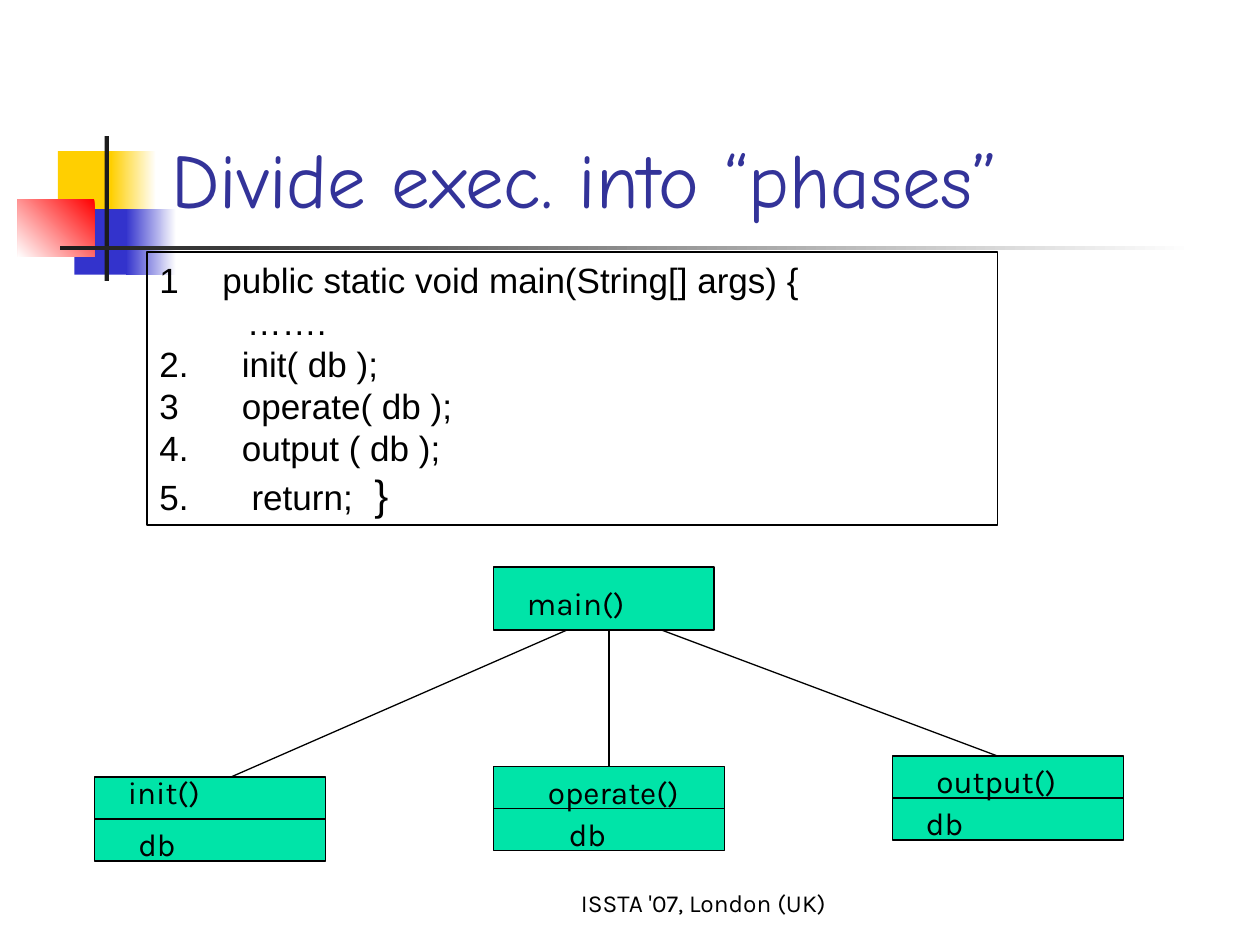
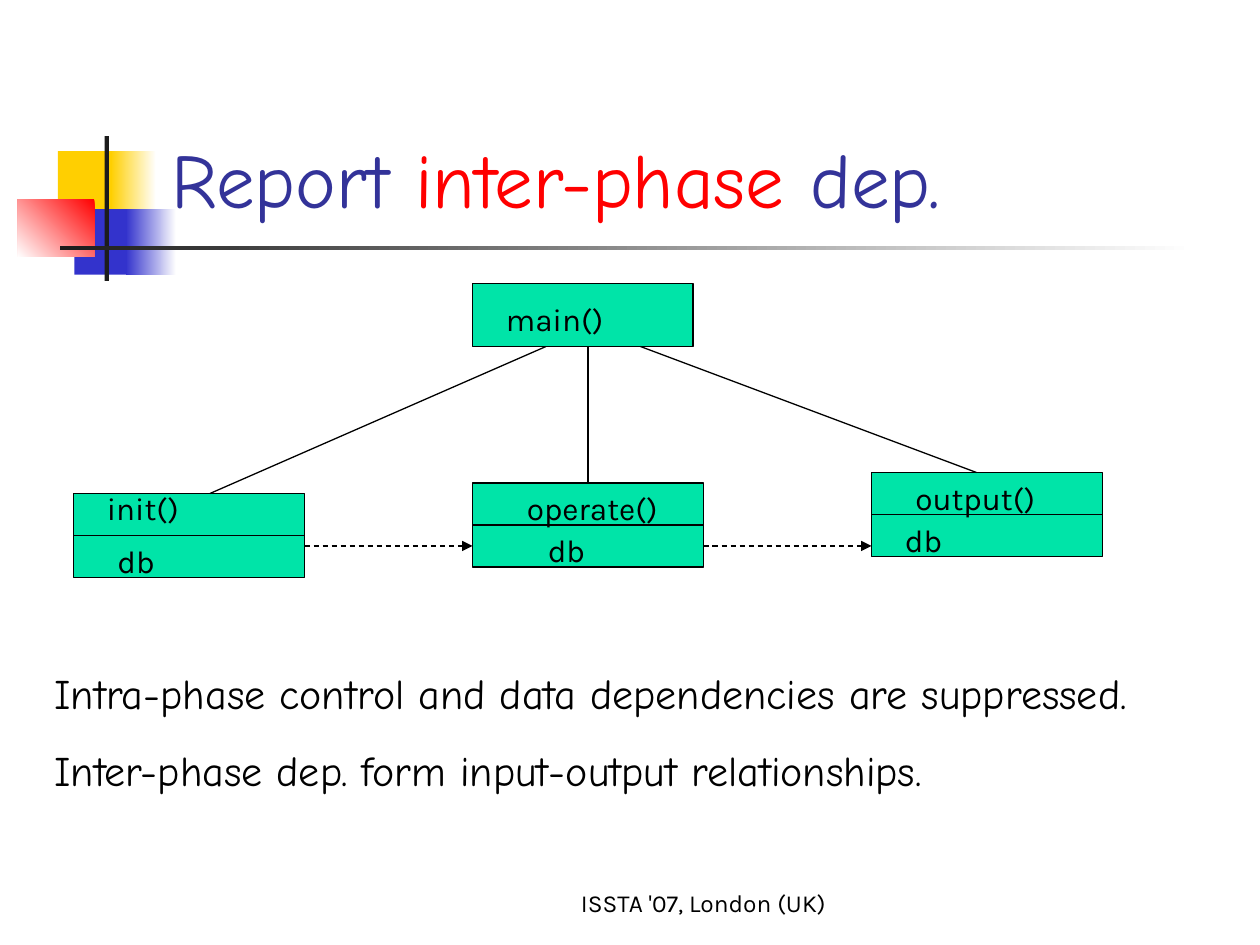
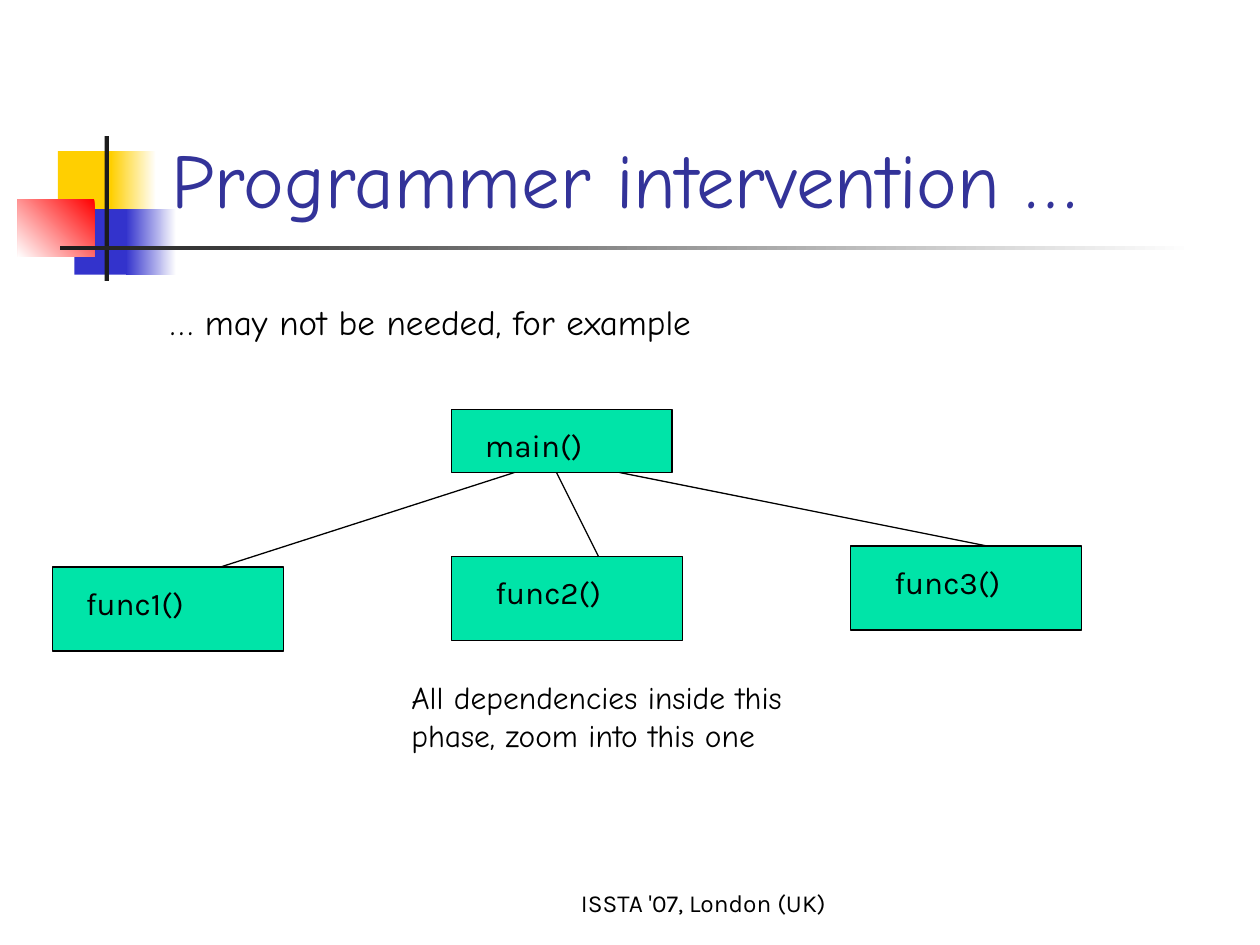
"""Build three slides on execution phases and their dependencies."""
from dataclasses import dataclass

from lxml import etree
from pptx import Presentation
from pptx.dml.color import RGBColor
from pptx.enum.dml import MSO_LINE
from pptx.enum.shapes import MSO_CONNECTOR, MSO_SHAPE
from pptx.enum.text import MSO_ANCHOR, MSO_AUTO_SIZE, PP_ALIGN
from pptx.oxml.ns import qn
from pptx.util import Inches, Pt

RECTANGLE = MSO_SHAPE.RECTANGLE
STRAIGHT = MSO_CONNECTOR.STRAIGHT
DASH = MSO_LINE.DASH
TOP, BOTTOM = MSO_ANCHOR.TOP, MSO_ANCHOR.BOTTOM
LEFT, CENTER = PP_ALIGN.LEFT, PP_ALIGN.CENTER
NO_AUTOFIT = MSO_AUTO_SIZE.NONE
TOP_SIDE, LEFT_SIDE, RIGHT_SIDE = 0, 1, 3
TITLE_ONLY = 5
COLUMNS, ROWS = 120, 90
BOX_WIDTH, BOX_HEIGHT = 22, 8
MAIN_WIDTH, MAIN_HEIGHT = 21, 6
PHASE_STEP = 38


@dataclass(frozen=True)
class Theme:
    """Colours, fonts and type sizes of the deck."""
    ink: str = "000000"
    title: str = "333399"
    accent: str = "FF0000"
    box: str = "00E4A8"
    yellow: str = "FFCF01"
    blue: str = "3333CC"
    bar: str = "1C1C1C"
    white: str = "FFFFFF"
    hand: str = "Comic Neue"
    sans: str = "Karla"
    code: str = "Arial"
    title_size: int = 44
    large: int = 24
    medium: int = 20
    label: int = 18
    footer: int = 14
    rule: float = 0.75


THEME = Theme()


def write(frame, paragraphs, *, font, size, color=THEME.ink, align=LEFT,
          anchor=TOP, gap=0):
    """Fill a frame; a paragraph is a string or a list of (text, overrides)."""
    frame.word_wrap = True
    frame.auto_size = NO_AUTOFIT
    frame.vertical_anchor = anchor
    for index, content in enumerate(paragraphs):
        paragraph = frame.add_paragraph() if index else frame.paragraphs[0]
        paragraph.alignment = align
        if index and gap:
            paragraph.space_before = Pt(gap)
        pieces = [(content, {})] if isinstance(content, str) else content
        for text, changes in pieces:
            run = paragraph.add_run()
            run.text = text
            run.font.name = font
            run.font.size = Pt(changes.get("size", size))
            run.font.color.rgb = RGBColor.from_string(changes.get("color", color))


def number(paragraph, scheme=None, start=1):
    """Give a paragraph a hanging indent and, if asked, an automatic number."""
    properties = paragraph._p.get_or_add_pPr()
    properties.set("marL", str(Inches(0.5)))
    properties.set("indent", str(-Inches(0.5)))
    if scheme:
        etree.SubElement(properties, qn("a:buAutoNum"), type=scheme, startAt=str(start))


class Deck:
    """Hold the style and the current slide, and draw on a grid."""

    def __init__(self, theme):
        """Start an empty presentation."""
        self.theme = theme
        self.presentation = Presentation()
        self.presentation.slide_width = Inches(10)
        self.presentation.slide_height = Inches(7.5)
        self.slide = None

    def x(self, columns):
        """Turn columns into a length."""
        return round(self.presentation.slide_width * columns / COLUMNS)

    def y(self, rows):
        """Turn rows into a length."""
        return round(self.presentation.slide_height * rows / ROWS)

    def area(self, column, row, width, height):
        """Turn a grid area into left, top, width and height."""
        return self.x(column), self.y(row), self.x(width), self.y(height)

    def start(self, title):
        """Add a slide with its ornament, title and footer."""
        theme = self.theme
        layout = self.presentation.slide_layouts[TITLE_ONLY]
        self.slide = self.presentation.slides.add_slide(layout)
        self.ornament()
        heading = self.slide.shapes.title
        self.slide.shapes.element.append(heading.element)
        heading.left, heading.top, heading.width, heading.height = self.area(
            15.12, 2.76, 102.24, 19.2)
        write(heading.text_frame, [title], font=theme.hand, size=theme.title_size,
              color=theme.title, anchor=BOTTOM)
        self.text(48, 82, 38, ["ISSTA '07, London (UK)"], height=6, font=theme.sans,
                  size=theme.footer, align=CENTER, anchor=BOTTOM)

    def ornament(self):
        """Draw the coloured squares and the two bars beside the title."""
        theme = self.theme
        self.block((5.52, 14.4, 5.76, 6.24), theme.yellow)
        self.fade((10.56, 14.4, 4.32, 6.24), theme.white, theme.yellow)
        self.block((7.08, 19.92, 5.52, 6.24), theme.blue)
        self.fade((12, 19.92, 4.8, 6.24), theme.white, theme.blue)
        self.fade((1.68, 18.96, 7.32, 5.52), theme.accent, theme.white, angle=225)
        self.block((9.96, 12.96, 0.42, 13.8), theme.bar)
        self.fade((5.76, 23.4, 108, 0.4), theme.white, theme.bar)

    def block(self, place, fill=None, outlined=False):
        """Draw a rectangle with an optional fill and outline."""
        rectangle = self.slide.shapes.add_shape(RECTANGLE, *self.area(*place))
        rectangle.shadow.inherit = False
        if fill:
            rectangle.fill.solid()
            rectangle.fill.fore_color.rgb = RGBColor.from_string(fill)
        else:
            rectangle.fill.background()
        if outlined:
            rectangle.line.color.rgb = RGBColor.from_string(self.theme.ink)
            rectangle.line.width = Pt(self.theme.rule)
        else:
            rectangle.line.fill.background()
        return rectangle

    def fade(self, place, first, last, angle=180):
        """Draw a rectangle that fades from one colour to another."""
        rectangle = self.block(place)
        rectangle.fill.gradient()
        rectangle.fill.gradient_angle = angle
        for stop, color in zip(rectangle.fill.gradient_stops, (first, last)):
            stop.color.rgb = RGBColor.from_string(color)

    def text(self, column, row, width, paragraphs, height=4.8, **style):
        """Place a text box."""
        box = self.slide.shapes.add_textbox(*self.area(column, row, width, height))
        write(box.text_frame, paragraphs, **style)

    def label(self, column, row, width, name):
        """Write a name on a box of the call tree."""
        self.text(column, row, width, [name], font=self.theme.sans,
                  size=self.theme.label)

    def link(self, begin, end, arrow=False):
        """Draw a line between two grid points, dashed if it is an arrow."""
        line = self.slide.shapes.add_connector(
            STRAIGHT, self.x(begin[0]), self.y(begin[1]), self.x(end[0]), self.y(end[1]))
        line.line.color.rgb = RGBColor.from_string(self.theme.ink)
        line.line.width = Pt(self.theme.rule)
        properties = line.element.spPr
        if arrow:
            line.line.dash_style = DASH
            etree.SubElement(properties.find(qn("a:ln")), qn("a:tailEnd"), type="triangle")
        etree.SubElement(properties, qn("a:effectLst"))
        return line

    def call_tree(self, column, row, phases, drop, starts, ends):
        """Draw main() and the phases it calls, each one row above the last."""
        self.block((column, row, MAIN_WIDTH, MAIN_HEIGHT), self.theme.box, outlined=True)
        self.label(column + 2, row + 1, 17, "main()")
        for index, (labels, start, end) in enumerate(zip(phases, starts, ends)):
            left = column + PHASE_STEP * (index - 1)
            top = row + drop - index
            phase = self.block((left, top, BOX_WIDTH, BOX_HEIGHT), self.theme.box,
                               outlined=True)
            if len(labels) > 1:
                middle = top + BOX_HEIGHT / 2
                divider = self.link((left, middle), (left + BOX_WIDTH, middle))
                divider.begin_connect(phase, LEFT_SIDE)
                divider.end_connect(phase, RIGHT_SIDE)
            for name, across, down, width in labels:
                self.label(left + across, top + down, width, name)
            call = self.link((column + start, row + MAIN_HEIGHT), (left + end, top))
            if end == BOX_WIDTH / 2:
                call.end_connect(phase, TOP_SIDE)

    def listing(self, place, lines):
        """Show code lines, each with its numbering, in an outlined box."""
        frame = self.block(place, outlined=True).text_frame
        write(frame, [content for content, _ in lines], font=self.theme.code,
              size=self.theme.medium)
        for paragraph, (_, numbering) in zip(frame.paragraphs, lines):
            number(paragraph, *numbering)


DB_PHASES = [
    [("init()", 2, -1, 18), ("db", 3, 4, 13)],
    [("operate()", 4, 0, 17), ("db", 6, 4, 13)],
    [("output()", 3, 0, 14), ("db", 2, 4, 20)],
]
DB_TREE = {"phases": DB_PHASES, "drop": 20, "starts": (7, 11, 16), "ends": (13, 11, 10)}
FUNCTIONS = [[("func1()", 2, 1, 17)], [("func2()", 3, 1, 16)], [("func3()", 3, 1, 16)]]
PERIOD_FROM_4 = ("arabicPeriod", 4)
MAIN_CODE = [
    ("public static void main(String[] args) {", ("arabicPlain",)),
    ("         …….", ()),
    ("2.\t  init( db );", ()),
    ("3\t  operate( db );", ()),
    ("  output ( db );", PERIOD_FROM_4),
    ([("   return; ", {}), (" }", {"size": THEME.large})], PERIOD_FROM_4),
]


def main():
    """Build and save the deck."""
    deck = Deck(THEME)

    deck.start("Divide exec. into “phases”")
    deck.listing((14, 24, 81, 26), MAIN_CODE)
    deck.call_tree(47, 54, **DB_TREE)

    deck.start([("Report ", {}), ("inter-phase", {"color": THEME.accent}), (" dep.", {})])
    deck.call_tree(45, 27, **DB_TREE)
    for left in (7, 7 + PHASE_STEP):
        deck.link((left + BOX_WIDTH, 52), (left + PHASE_STEP, 52), arrow=True)
    deck.text(4, 63, 116, ["Intra-phase control and data dependencies are suppressed.",
                           "Inter-phase dep. form input-output relationships."],
              height=13.3, font=THEME.hand, size=THEME.large, gap=15)

    deck.start("Programmer intervention …")
    deck.text(15, 28, 98, ["… may not be needed, for example"], height=5.3,
              font=THEME.hand, size=THEME.medium)
    deck.call_tree(43, 39, FUNCTIONS, drop=15, starts=(6, 10, 16), ends=(16, 14, 13))
    deck.text(38, 64, 43, ["All dependencies inside this phase, zoom into this one"],
              height=8.4, font=THEME.hand, size=THEME.label)

    deck.presentation.save("out.pptx")


if __name__ == "__main__":
    main()
